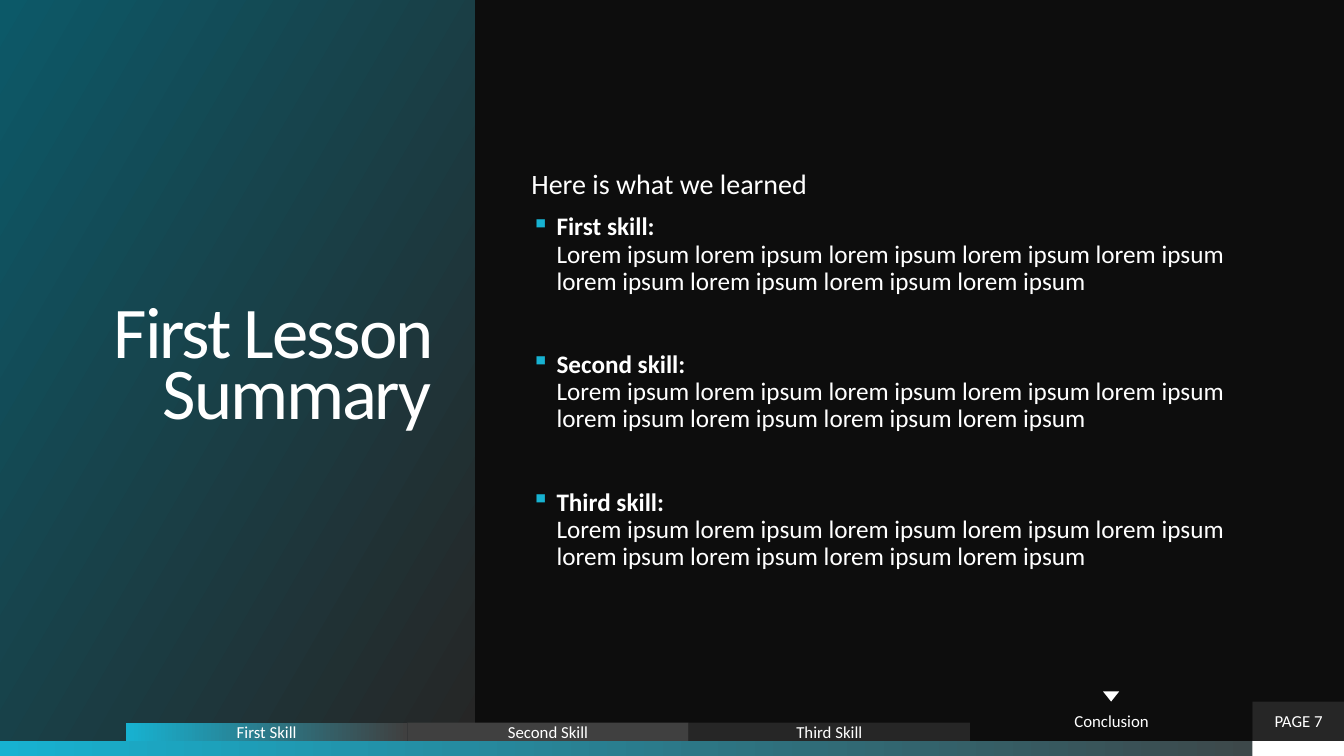
from dataclasses import dataclass

from lxml import etree
from pptx import Presentation
from pptx.dml.color import RGBColor
from pptx.enum import shapes, text
from pptx.oxml import ns
from pptx.util import Inches, Pt


@dataclass(frozen=True)
class Theme:
    font: str = "Calibri"
    back: str = "0D0D0D"
    white: str = "FFFFFF"
    cyan: str = "17B2D1"
    teal: str = "0C5968"
    gray: str = "404040"
    dark: str = "262626"
    title: int = 52
    lead: int = 20
    body: int = 18
    label: int = 12


T = Theme()
KIND = shapes.MSO_SHAPE
ALIGN = text.PP_ALIGN
MID = text.MSO_ANCHOR.MIDDLE

LOREM = " ".join(["Lorem ipsum"] + ["lorem ipsum"] * 8)
SKILLS = ["First", "Second", "Third"]


def paint(shape, *colors, angle=0):
    """Fill with one colour, or with a gradient between two."""
    fill = shape.fill
    if len(colors) == 1:
        fill.solid()
        fill.fore_color.rgb = RGBColor.from_string(colors[0])
        return
    fill.gradient()
    fill.gradient_angle = angle
    for stop, color in zip(fill.gradient_stops, colors):
        stop.color.rgb = RGBColor.from_string(color)


def write(para, words, size=T.label, bold=False, align=None, lines=None,
          track=None):
    """Add one formatted run to a paragraph."""
    run = para.add_run()
    run.text = words
    font = run.font
    font.name, font.size, font.bold = T.font, Pt(size), bold
    font.color.rgb = RGBColor.from_string(T.white)
    if align is not None:
        para.alignment = align
    if lines:
        para.line_spacing = lines
    if track:
        run._r.get_or_add_rPr().set("spc", str(int(track * 100)))


def frame(shape, side=0, top=0):
    """Set up a wrapped, vertically centred text frame."""
    box = shape.text_frame
    box.word_wrap = True
    box.auto_size = text.MSO_AUTO_SIZE.NONE
    box.vertical_anchor = MID
    box.margin_left = box.margin_right = Inches(side)
    box.margin_top = box.margin_bottom = Inches(top)
    return box


def place(shape, left, top, width, height):
    shape.left, shape.top = Inches(left), Inches(top)
    shape.width, shape.height = Inches(width), Inches(height)


def block(slide, at, *colors, label=None, kind=KIND.RECTANGLE):
    """Draw a plain filled shape with an optional label."""
    shape = slide.shapes.add_shape(kind, *map(Inches, at))
    shape.shadow.inherit = False
    shape.line.fill.background()
    paint(shape, *colors)
    if label:
        write(frame(shape).paragraphs[0], label, align=ALIGN.CENTER)
    return shape


def bullet(para):
    """Give a paragraph a cyan square and a hanging indent."""
    props = para._p.get_or_add_pPr()
    props.set("marL", str(Inches(0.25)))
    props.set("indent", str(-Inches(0.25)))
    tint = etree.SubElement(props, ns.qn("a:buClr"))
    etree.SubElement(tint, ns.qn("a:srgbClr")).set("val", T.cyan)
    etree.SubElement(props, ns.qn("a:buChar")).set("char", "▪")


def heading(slide):
    title = slide.shapes.title
    place(title, 0, 0, 4.71, 7.35)
    paint(title, T.dark, T.teal, angle=150)
    write(frame(title, side=0.43).paragraphs[0], "First Lesson Summary",
          size=T.title, align=ALIGN.RIGHT, lines=0.7, track=-1.5)


def summary(slide):
    area = slide.shapes.add_textbox(*map(Inches, (5.15, 0.4, 7.27, 6.55)))
    box = frame(area, side=0.12, top=0.12)
    write(box.paragraphs[0], "Here is what we learned", size=T.lead, lines=0.9)
    for i, skill in enumerate(SKILLS):
        para = box.add_paragraph()
        para.space_before = Pt(40 if i else 10)
        write(para, f"{skill} skill: ", size=T.body, bold=True, lines=0.9)
        para.add_line_break()
        write(para, LOREM, size=T.body)
        bullet(para)


def footer(slide):
    # Bottom strip and page number
    block(slide, (0, 7.35, 13.33, 0.15), T.cyan, T.gray)
    block(slide, (12.42, 7.35, 0.92, 0.15), T.white)
    block(slide, (12.42, 6.96, 0.92, 0.39), T.dark, label="PAGE 7")

    # Section tabs, with the current one taller
    left, wide = 1.25, 2.79
    fills = [(T.cyan, T.gray), (T.gray,), (T.dark,)]
    for i, (skill, fill) in enumerate(zip(SKILLS, fills)):
        block(slide, (left + i * wide, 7.17, wide, 0.18), *fill,
              label=f"{skill} Skill")
    block(slide, (9.63, 6.96, wide, 0.39), T.back, label="Conclusion")

    # Marker above the current tab
    mark = block(slide, (10.94, 6.86, 0.16, 0.1), T.white,
                 kind=KIND.ISOSCELES_TRIANGLE)
    mark.rotation = 180


def main():
    deck = Presentation()
    deck.slide_width, deck.slide_height = Inches(13.33), Inches(7.5)
    slide = deck.slides.add_slide(deck.slide_layouts[5])
    paint(slide.background, T.back)
    heading(slide)
    summary(slide)
    footer(slide)
    deck.save("out.pptx")


if __name__ == "__main__":
    main()
